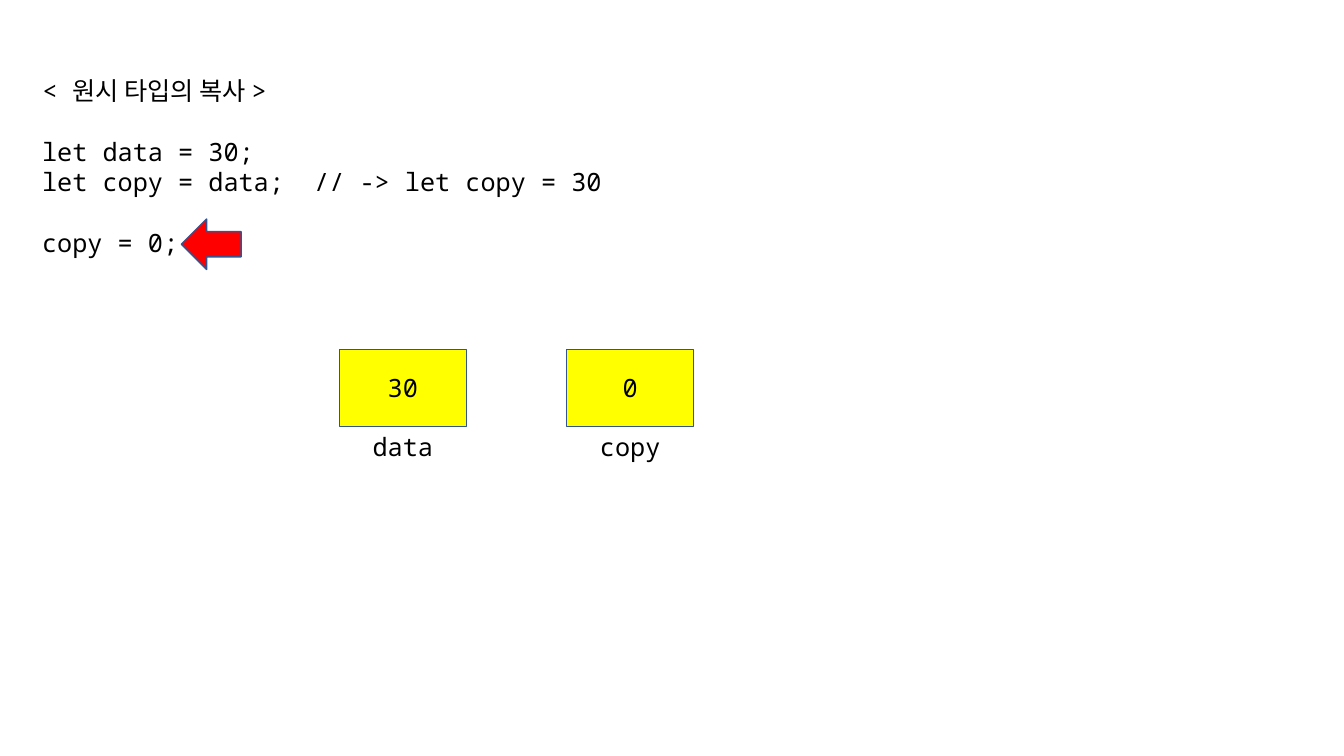
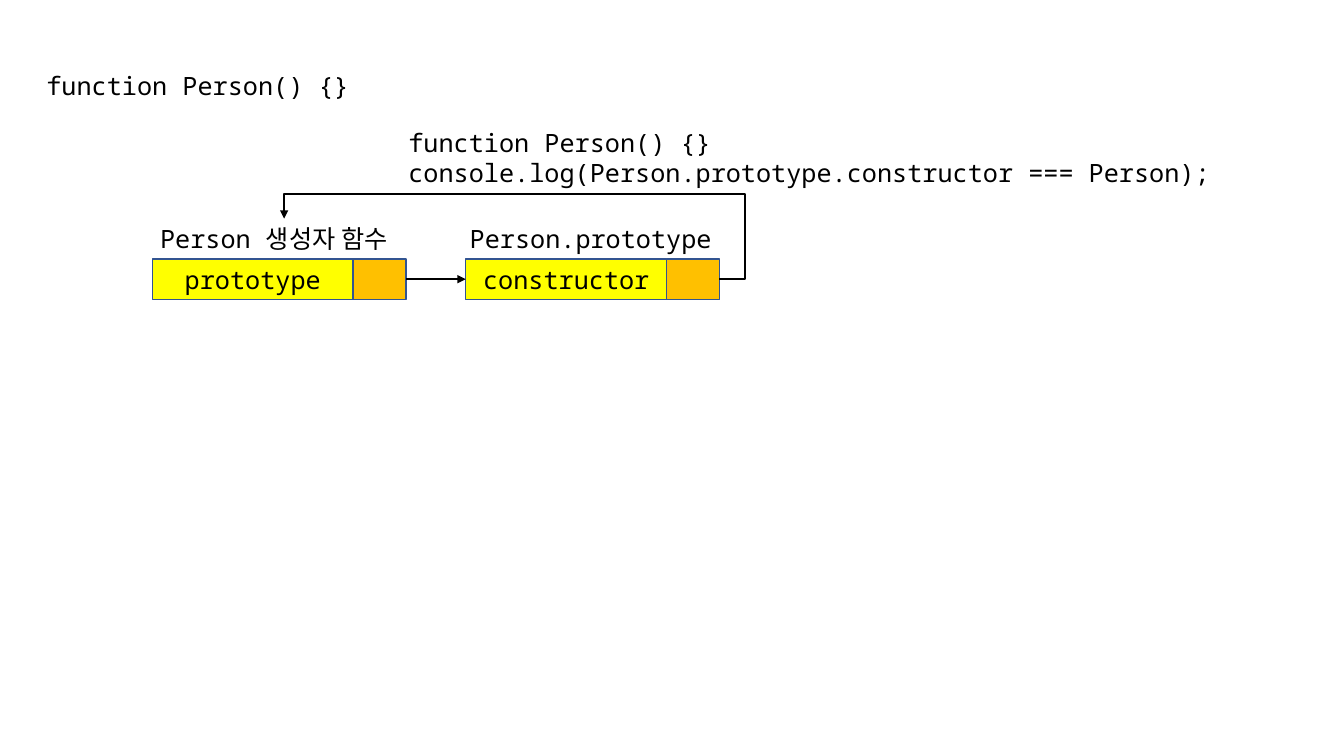
from lxml import etree
from pptx import Presentation
from pptx.dml.color import RGBColor
from pptx.enum.shapes import MSO_CONNECTOR, MSO_SHAPE
from pptx.enum.text import MSO_ANCHOR, MSO_AUTO_SIZE, PP_ALIGN
from pptx.oxml.ns import qn
from pptx.util import Pt

RECT, LEFT_ARROW = MSO_SHAPE.RECTANGLE, MSO_SHAPE.LEFT_ARROW
STRAIGHT, ELBOW = MSO_CONNECTOR.STRAIGHT, MSO_CONNECTOR.ELBOW
LEFT, CENTER = PP_ALIGN.LEFT, PP_ALIGN.CENTER
TOP, MIDDLE = MSO_ANCHOR.TOP, MSO_ANCHOR.MIDDLE
FIXED = MSO_AUTO_SIZE.NONE

COLORS = {"text": "000000", "edge": "325491", "value": "FFFF00",
          "link": "FFC000", "mark": "FF0000"}
FONT, SIZE = "Noto Sans Mono", 18
ROW, LINE = 28.8, 21.7  # height of a one-line box, pitch of text lines
TITLE_ONLY = 5


def color(name):
    return RGBColor.from_string(COLORS[name])


def write(shape, text, align=LEFT, anchor=TOP, gaps=()):
    """Fill a shape with lines; gaps lists the lines with a space above."""
    frame = shape.text_frame
    frame.word_wrap, frame.auto_size = True, FIXED
    frame.vertical_anchor = anchor
    frame.margin_left = frame.margin_right = Pt(7.2)
    frame.margin_top = frame.margin_bottom = Pt(3.6)
    frame.text = text
    for i, par in enumerate(frame.paragraphs):
        par.alignment = align
        par.space_before = Pt(LINE if i in gaps else 0)
        font = par.font
        font.name, font.size = FONT, Pt(SIZE)
        font.color.rgb = color("text")


class Deck:
    def __init__(self):
        self.prs = Presentation()
        self.prs.slide_width, self.prs.slide_height = Pt(960), Pt(540)
        self.slide = None

    def page(self, title, x, y, w):
        layout = self.prs.slide_layouts[TITLE_ONLY]
        self.slide = self.prs.slides.add_slide(layout)
        head = self.slide.shapes.title
        head.left, head.top, head.width, head.height = map(Pt, (x, y, w, ROW))
        write(head, title)

    def label(self, text, x, y, w, h=ROW, **form):
        area = self.slide.shapes.add_textbox(*map(Pt, (x, y, w, h)))
        write(area, text, **form)

    def shape(self, kind, fill, x, y, w, h, text="", group=None):
        home = group or self.slide
        item = home.shapes.add_shape(kind, *map(Pt, (x, y, w, h)))
        item.shadow.inherit = False
        item.fill.solid()
        item.fill.fore_color.rgb = color(fill)
        item.line.color.rgb = color("edge")
        item.line.width = Pt(1)
        if text:
            write(item, text, align=CENTER, anchor=MIDDLE)

    def field(self, name, x, y):
        """A named property with its reference cell."""
        group = self.slide.shapes.add_group_shape()
        self.shape(RECT, "value", x, y, 143.5, ROW, name, group)
        self.shape(RECT, "link", x + 143.5, y, 37.7, ROW, group=group)

    def arrow(self, start, end, kind=STRAIGHT, bends=()):
        """Draw an arrow; bends are the two adjustments of a four-part elbow."""
        line = self.slide.shapes.add_connector(kind, *map(Pt, start + end))
        line.line.color.rgb = color("text")
        line.line.width = Pt(1.5)
        props = line._element.spPr
        etree.SubElement(line.line._get_or_add_ln(), qn("a:tailEnd"),
                         type="triangle")
        etree.SubElement(props, qn("a:effectLst"))
        if bends:
            geom = props.find(qn("a:prstGeom"))
            geom.set("prst", "bentConnector4")
            guides = geom.find(qn("a:avLst"))
            for i, bend in enumerate(bends, 1):
                etree.SubElement(guides, qn("a:gd"), name=f"adj{i}",
                                 fmla=f"val {bend}")


deck = Deck()

# Slide 1: copying a primitive value
deck.page("< 원시 타입의 복사 >", 23, 50.4, 427)
code = ("let data = 30;\nlet copy = data;  // -> let copy = 30\n"
        "copy = 0;")
deck.label(code, 23, 50.4 + 2 * LINE, 427, 4 * LINE + 7.2, gaps=(2,))
deck.shape(LEFT_ARROW, "mark", 129.6, 156.5, 42.6, 36)
for i, (name, value) in enumerate((("data", "30"), ("copy", "0"))):
    left = 242.4 + i * 162.4
    deck.shape(RECT, "value", left, 249.6, 90.7, 55, value)
    deck.label(name, left, 304.6, 90.7, align=CENTER)

# Slide 2: a constructor and its prototype
deck.page("function Person() {}", 25.9, 46.8, 240)
top = 185
mid = top + ROW / 2
deck.field("prototype", 108.8, top)
deck.label("Person 생성자 함수", 107.3, top - ROW, 192.5)
deck.field("constructor", 332.7, top)
deck.label("Person.prototype", 328.4, top - ROW, 190)
deck.arrow((290, mid), (332.7, mid))
deck.arrow((513.9, mid), (203, top - ROW), ELBOW, (-5800, 141300))
deck.label("function Person() {}\n"
           "console.log(Person.prototype.constructor === Person);",
           284.6, 87.2, 600, 51)

deck.prs.save("out.pptx")
